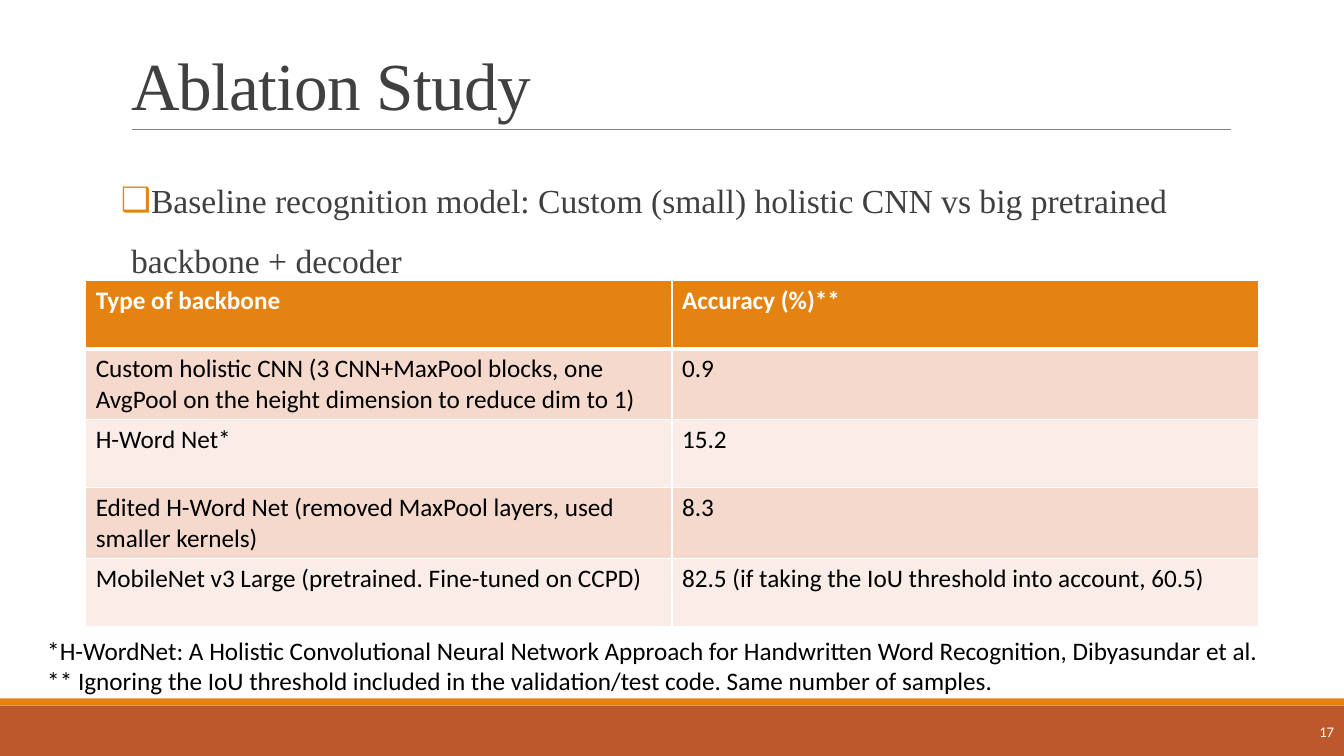
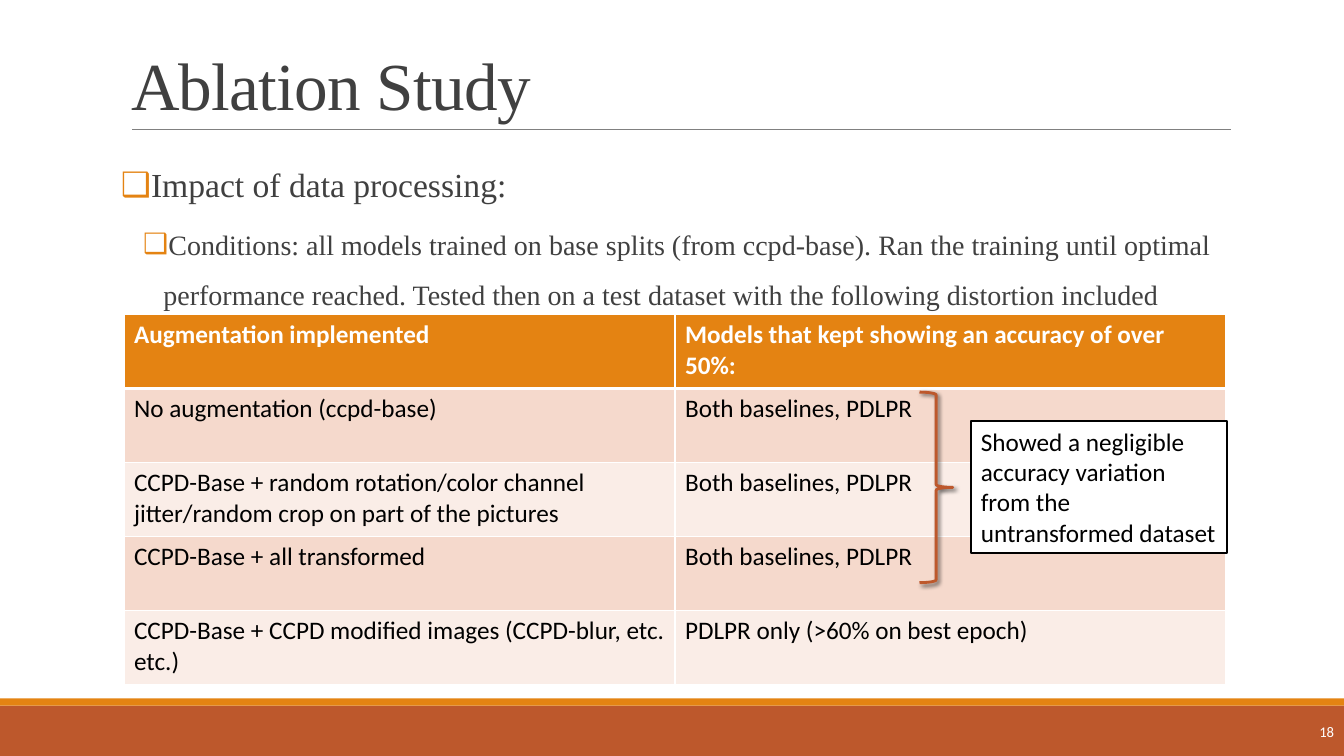
from lxml.etree import SubElement
from pptx import Presentation
from pptx.dml.color import RGBColor
from pptx.enum.shapes import MSO_CONNECTOR as LINK, MSO_SHAPE as KIND
from pptx.enum.text import MSO_ANCHOR as ANCHOR, MSO_AUTO_SIZE as FIT, PP_ALIGN as ALIGN
from pptx.oxml import parse_xml
from pptx.oxml.ns import nsdecls, qn
from pptx.util import Emu, Pt

SCALE = 9144
RUST, GOLD, GRAY, INK = "BD582C", "E48312", "808080", "404040"
WHITE, BLACK = "FFFFFF", "000000"
BANDS = ("F5D9CC", "FAEDE7")
SERIF, SANS = "Times New Roman", "Calibri"
HEAD = "Ablation Study"
LEVELS = (
    dict(size=24, left=10, hang=-10, before=12, after=2),
    dict(size=20, left=42, hang=-20, before=2, after=4),
)


def px(num):
    """Turn px into EMU."""
    return Emu(round(num * SCALE))


def rgb(code):
    """Turn a hex string into a colour."""
    return RGBColor.from_string(code)


def put(item, **form):
    """Set each format value on the item."""
    for name, value in form.items():
        setattr(item, name, value)


def place(shape, box):
    """Move and size a shape by its px box."""
    put(shape, **dict(zip(("left", "top", "width", "height"), map(px, box))))


def write(para, text, size=18, face=SANS, color=BLACK, bold=False):
    """Add one styled run to a paragraph."""
    run = para.add_run()
    run.text = text
    put(run.font, size=Pt(size), name=face, bold=bold)
    run.font.color.rgb = rgb(color)
    return run


def fill(frame, lines, **style):
    """Write each line as a paragraph of the frame."""
    for num, text in enumerate(lines):
        para = frame.add_paragraph() if num else frame.paragraphs[0]
        write(para, text, **style)


def block(slide, kind, box, color=None, edge=None, weight=1):
    """Add a preset shape with plain fill and line."""
    shape = slide.shapes.add_shape(kind, *map(px, box))
    shape.shadow.inherit = False
    if color:
        shape.fill.solid()
        shape.fill.fore_color.rgb = rgb(color)
    else:
        shape.fill.background()
    if edge:
        shape.line.color.rgb = rgb(edge)
        shape.line.width = Pt(weight)
    else:
        shape.line.fill.background()
    return shape


def rule(slide, left, right, top):
    """Add a thin level line."""
    line = slide.shapes.add_connector(LINK.STRAIGHT, *map(px, (left, top, right, top)))
    line.line.color.rgb = rgb(GRAY)
    line.line.width = Pt(0.5)
    SubElement(line.element.spPr, qn("a:effectLst"))
    return line


def dress(slide):
    """Put the shared bands and line on the layout of the slide."""
    parts = (
        block(slide, KIND.RECTANGLE, (0, 700, 1333, 50), RUST),
        block(slide, KIND.RECTANGLE, (0, 693, 1333, 7), GOLD),
        rule(slide, 131, 1221, 128),
    )
    for num, part in enumerate(parts, 20):
        part.element.xpath(".//p:cNvPr")[0].set("id", str(num))
        slide.slide_layout.shapes.element.append(part.element)


def title(slide):
    """Fill the title placeholder."""
    shape = slide.shapes.title
    place(shape, (120, 30, 1100, 98))
    frame = shape.text_frame
    put(frame, vertical_anchor=ANCHOR.BOTTOM, auto_size=FIT.NONE, word_wrap=True)
    para = frame.paragraphs[0]
    put(para, alignment=ALIGN.LEFT, line_spacing=0.85)
    run = write(para, HEAD, 48, SERIF, INK)
    run.font._element.set("spc", "-50")


def bullet(para, text, level):
    """Write one list line with its box mark."""
    form = LEVELS[level]
    put(para, level=level, line_spacing=1.5, alignment=ALIGN.LEFT,
        space_before=Pt(form["before"]), space_after=Pt(form["after"]))
    write(para, text, form["size"], SERIF, INK)
    prop = para._p.get_or_add_pPr()
    prop.set("marL", str(px(form["left"])))
    prop.set("indent", str(px(form["hang"])))
    tint = SubElement(prop, qn("a:buClr"))
    SubElement(tint, qn("a:srgbClr")).set("val", GOLD)
    SubElement(prop, qn("a:buChar")).set("char", "❑")


def body(slide, box, lines):
    """Fill the body placeholder with a list."""
    shape = slide.placeholders[1]
    place(shape, box)
    frame = shape.text_frame
    put(frame, margin_left=0, margin_right=0, auto_size=FIT.NONE,
        word_wrap=True, vertical_anchor=ANCHOR.TOP)
    for level, text in enumerate(lines):
        para = frame.add_paragraph() if level else frame.paragraphs[0]
        bullet(para, text, level)


def page(slide, num):
    """Add the page number in the lower band."""
    frame = slide.shapes.add_textbox(*map(px, (1190, 706, 143, 40))).text_frame
    put(frame, word_wrap=True, vertical_anchor=ANCHOR.MIDDLE)
    frame.paragraphs[0].alignment = ALIGN.RIGHT
    fill(frame, [str(num)], size=10.5, color=WHITE)


def border(cell, top, base):
    """Draw white borders round a cell."""
    prop = cell._tc.get_or_add_tcPr()
    for spot, (side, weight) in enumerate(zip("LRTB", (1, 1, top, base))):
        prop.insert(spot, parse_xml(
            f'<a:ln{side} {nsdecls("a")} w="{Pt(weight)}"><a:solidFill>'
            f'<a:srgbClr val="{WHITE}"/></a:solidFill></a:ln{side}>'))


def table(slide, box, rows):
    """Add a banded table with a gold head row."""
    size = len(rows), len(rows[0])
    grid = slide.shapes.add_table(*size, *map(px, box)).table
    for num, row in enumerate(rows):
        head = num == 0
        for col, text in enumerate(row):
            cell = grid.cell(num, col)
            cell.fill.solid()
            cell.fill.fore_color.rgb = rgb(GOLD if head else BANDS[(num - 1) % 2])
            border(cell, 3 if num == 1 else 1, 3 if head else 1)
            fill(cell.text_frame, [text], color=WHITE if head else BLACK, bold=head)


def note(slide, box, lines):
    """Add a plain text box."""
    frame = slide.shapes.add_textbox(*map(px, box)).text_frame
    put(frame, word_wrap=True, auto_size=FIT.SHAPE_TO_FIT_TEXT)
    fill(frame, lines)


def label(slide, box, text):
    """Add a framed white label."""
    frame = block(slide, KIND.RECTANGLE, box, WHITE, BLACK, 1.25).text_frame
    put(frame, word_wrap=True, vertical_anchor=ANCHOR.TOP,
        auto_size=FIT.SHAPE_TO_FIT_TEXT)
    frame.paragraphs[0].alignment = ALIGN.LEFT
    fill(frame, [text])


def brace(slide, box):
    """Add a right brace with a soft shadow."""
    shape = block(slide, KIND.RIGHT_BRACE, box, edge=RUST, weight=2)
    shape.element.spPr.find(qn("a:effectLst")).append(parse_xml(
        f'<a:outerShdw {nsdecls("a")} blurRad="{Pt(3)}" dist="{Pt(2)}" dir="2700000">'
        f'<a:srgbClr val="{BLACK}"><a:alpha val="60000"/></a:srgbClr></a:outerShdw>'))


def start(deck, num):
    """Add a slide with its title and page number."""
    slide = deck.slides.add_slide(deck.slide_layouts[1])
    title(slide)
    page(slide, num)
    return slide


def models(slide):
    """Build the slide on backbones."""
    body(slide, (120, 153, 1100, 440), [
        "Baseline recognition model: Custom (small) holistic CNN vs big pretrained "
        "backbone + decoder"])
    table(slide, (85, 278, 1163, 340), [
        ("Type of backbone", "Accuracy (%)**"),
        ("Custom holistic CNN (3 CNN+MaxPool blocks, one AvgPool on the height "
         "dimension to reduce dim to 1)", "0.9"),
        ("H-Word Net*", "15.2"),
        ("Edited H-Word Net (removed MaxPool layers, used smaller kernels)", "8.3"),
        ("MobileNet v3 Large (pretrained. Fine-tuned on CCPD)",
         "82.5 (if taking the IoU threshold into account, 60.5)"),
    ])
    note(slide, (37, 625, 1258, 71), [
        "*H-WordNet: A Holistic Convolutional Neural Network Approach for "
        "Handwritten Word Recognition, Dibyasundar et al.",
        "** Ignoring the IoU threshold included in the validation/test code. "
        "Same number of samples."])


def data(slide):
    """Build the slide on data processing."""
    both = "Both baselines, PDLPR"
    body(slide, (120, 138, 1100, 174), [
        "Impact of data processing:",
        "Conditions: all models trained on base splits (from ccpd-base). Ran the "
        "training until optimal performance reached. Tested then on a test dataset "
        "with the following distortion included"])
    table(slide, (123, 312, 1093, 367), [
        ("Augmentation implemented", "Models that kept showing an accuracy of over 50%:"),
        ("No augmentation (ccpd-base)", both),
        ("CCPD-Base + random rotation/color channel jitter/random crop on part of "
         "the pictures", both),
        ("CCPD-Base + all transformed", both),
        ("CCPD-Base + CCPD modified images (CCPD-blur, etc. etc.)",
         "PDLPR only (>60% on best epoch)"),
    ])
    brace(slide, (912, 389, 33, 189))
    label(slide, (963, 418, 254, 131),
          "Showed a negligible accuracy variation from the untransformed dataset")


def main():
    """Build and save the deck."""
    deck = Presentation()
    put(deck, slide_width=px(1333), slide_height=px(750))
    for num, build in enumerate((models, data), 17):
        build(start(deck, num))
    dress(deck.slides[0])
    deck.save("out.pptx")


if __name__ == "__main__":
    main()
